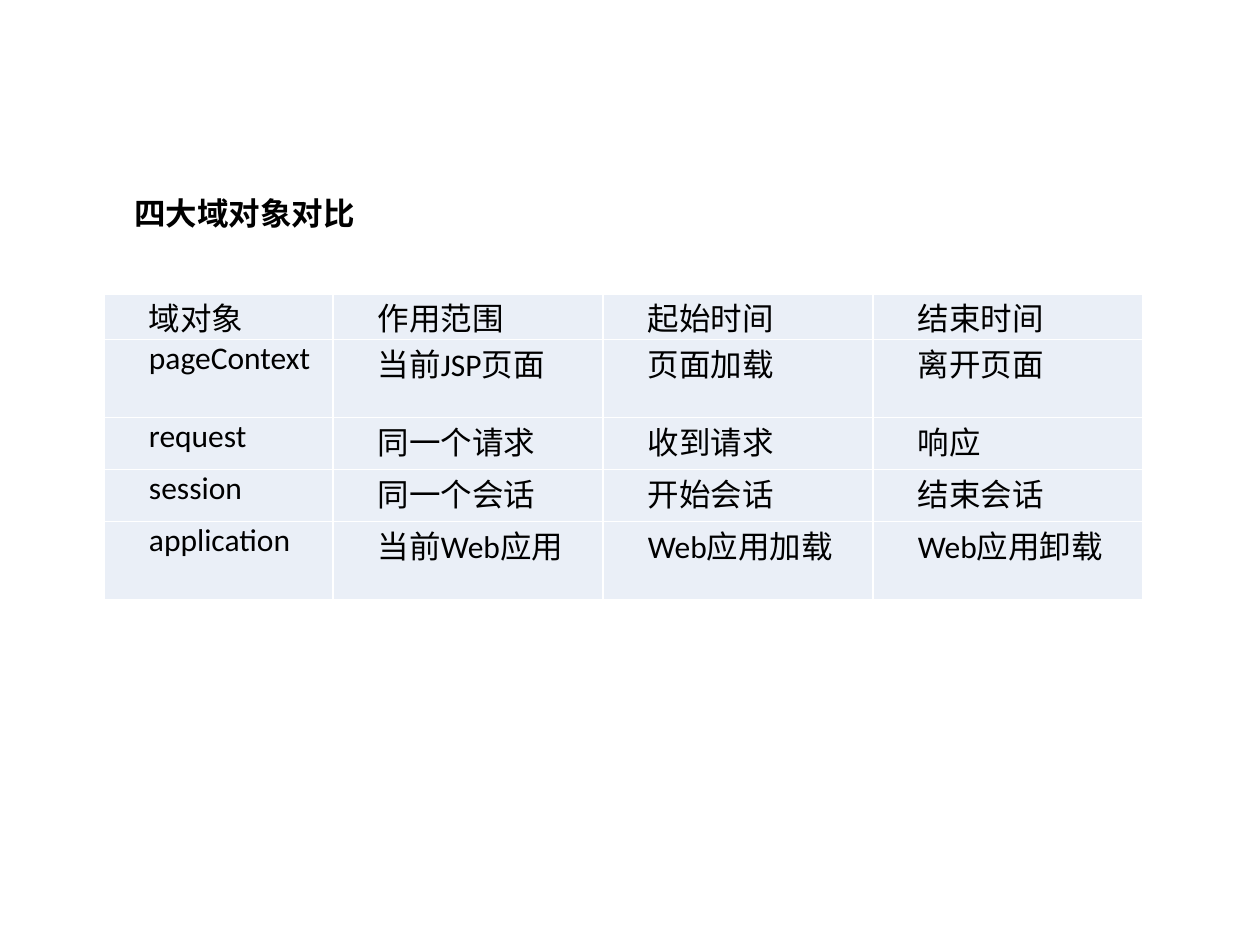
import pptx
import pptx.dml.color
import pptx.enum.text
import pptx.oxml
import pptx.oxml.ns
import pptx.util

PX = 914400 // 126
NS = pptx.oxml.ns.nsdecls("a")


def color(value):
    return pptx.dml.color.RGBColor.from_string(value)


def style(p, bold):
    for r in p.runs:
        r.font.name = "Calibri"
        r.font.size = pptx.util.Pt(18)
        r.font.bold = bold
        r.font.color.rgb = color("000000")


rows = [
    ["域对象", "作用范围", "起始时间", "结束时间"],
    ["pageContext", "当前JSP页面", "页面加载", "离开页面"],
    ["request", "同一个请求", "收到请求", "响应"],
    ["session", "同一个会话", "开始会话", "结束会话"],
    ["application", "当前Web应用", "Web应用加载", "Web应用卸载"],
]
widths = [229, 270, 270, 270]
heights = [39, 78, 52, 52, 78]

prs = pptx.Presentation()
prs.slide_width = pptx.util.Inches(10)
prs.slide_height = pptx.util.Inches(7.5)
s = prs.slides.add_slide(prs.slide_layouts[6])

table = s.shapes.add_table(len(rows), len(widths), 104 * PX, 294 * PX,
                           sum(widths) * PX, sum(heights) * PX).table
table.first_row = False
table.horz_banding = False
for column, width in zip(table.columns, widths):
    column.width = width * PX
for row, height, texts in zip(table.rows, heights, rows):
    row.height = height * PX
    for cell, text in zip(row.cells, texts):
        cell.margin_left = cell.margin_right = 9 * PX
        cell.margin_top = cell.margin_bottom = 0
        cell.fill.solid()
        cell.fill.fore_color.rgb = color("EAEFF7")
        p = cell.text_frame.paragraphs[0]
        p.text = text
        p.alignment = pptx.enum.text.PP_ALIGN.JUSTIFY
        p._p.get_or_add_pPr().set("indent", str(36 * PX))
        style(p, False)
        tcPr = cell._tc.get_or_add_tcPr()
        for i, side in enumerate(["lnL", "lnR", "lnT", "lnB"]):
            tcPr.insert(i, pptx.oxml.parse_xml(
                f'<a:{side} {NS} w="12700"><a:solidFill>'
                f'<a:srgbClr val="FFFFFF"/></a:solidFill></a:{side}>'))

sp = s.shapes.add_textbox(122 * PX, 188 * PX, 401 * PX, 50 * PX)
tf = sp.text_frame
tf.word_wrap = True
tf.auto_size = pptx.enum.text.MSO_AUTO_SIZE.SHAPE_TO_FIT_TEXT
p = tf.paragraphs[0]
p.text = "四大域对象对比"
style(p, True)

prs.save("out.pptx")
